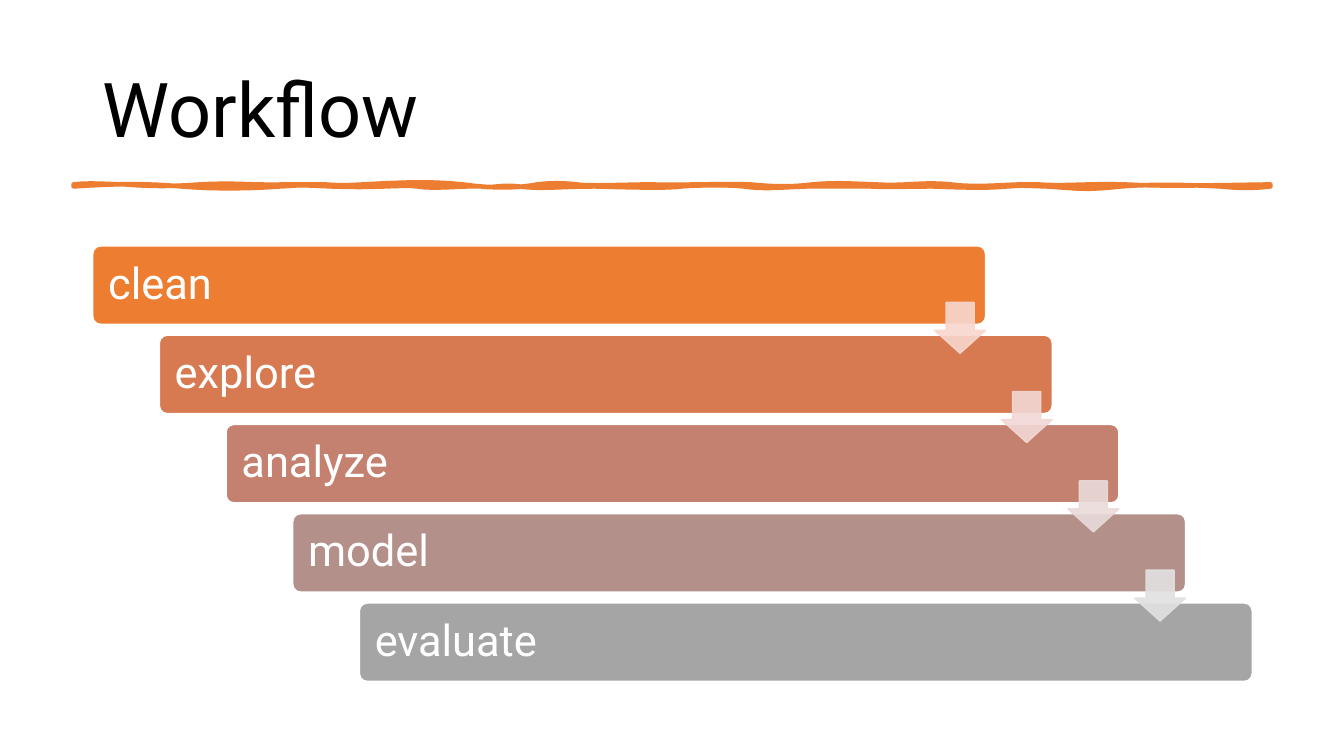
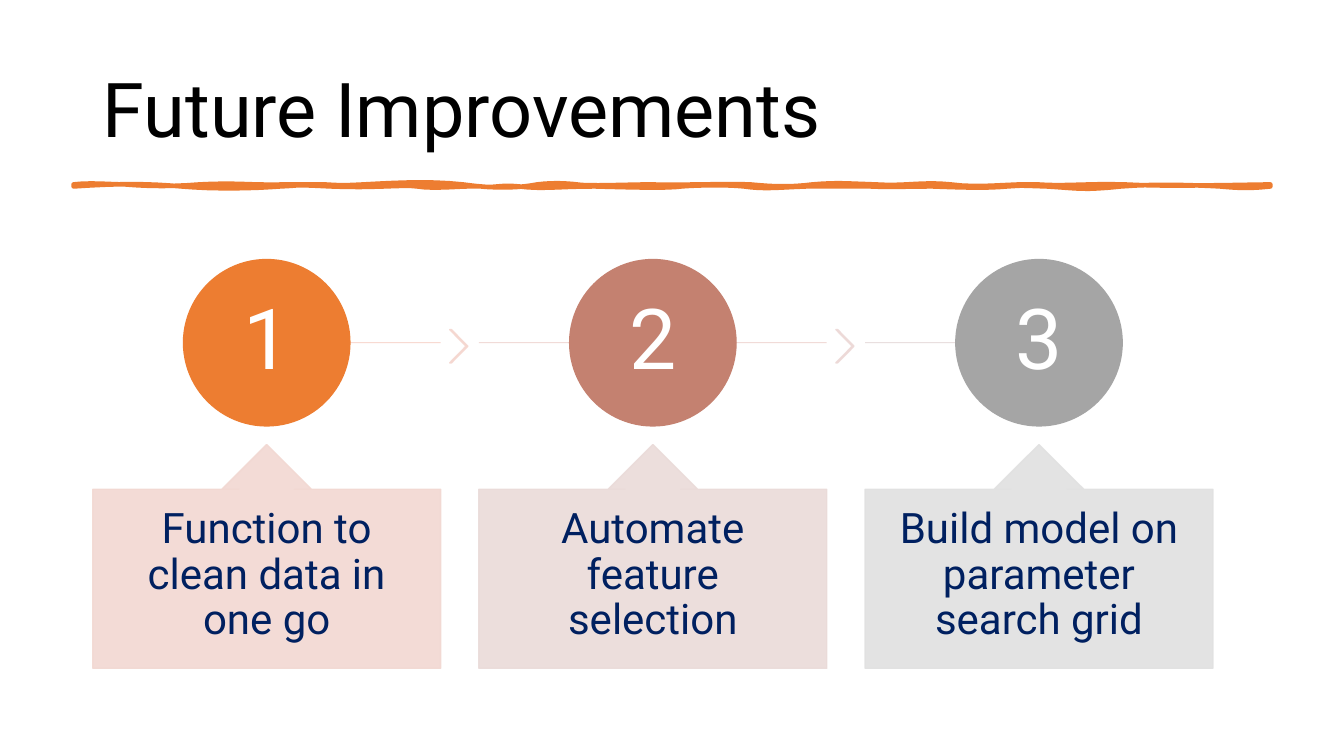
from lxml.etree import SubElement
from pptx import Presentation
from pptx.dml.color import RGBColor
from pptx.enum.shapes import MSO_CONNECTOR, MSO_SHAPE
from pptx.enum.text import MSO_ANCHOR, PP_ALIGN
from pptx.oxml.ns import qn
from pptx.util import Inches, Pt

FONT = "Roboto"
ORANGE, ROSE, GRAY = "ED7D31", "C48170", "A5A5A5"
WHITE, BLACK, NAVY = "FFFFFF", "000000", "002060"
PALE_GRAY = "E1E1E1"
LEFT, WIDTH = 0.92, 11.5
WAVE_LEFT, WAVE_TOP, WAVE_BOTTOM = 0.73, 1.83, 1.85

# control_x, control_y, control_x, control_y, end_x
TOP_EDGE = [
    (0.89, 1.81, 1.11, 1.83, 1.24), (1.36, 1.84, 1.62, 1.86, 1.98),
    (2.34, 1.81, 2.51, 1.84, 2.84), (3.17, 1.83, 3.07, 1.83, 3.22),
    (3.38, 1.84, 3.42, 1.84, 3.61), (3.8, 1.82, 4.24, 1.79, 4.59),
    (4.94, 1.88, 5.17, 1.86, 5.33), (5.49, 1.81, 5.63, 1.82, 5.72),
    (5.81, 1.85, 6.25, 1.83, 6.46), (6.67, 1.84, 7.23, 1.82, 7.44),
    (7.65, 1.85, 7.82, 1.86, 8.06), (8.3, 1.81, 8.38, 1.82, 8.68),
    (8.99, 1.85, 9.14, 1.8, 9.43), (9.72, 1.87, 10.02, 1.82, 10.29),
    (10.55, 1.85, 10.78, 1.82, 11.15), (11.51, 1.85, 11.99, 1.84, 12.6),
]
BOTTOM_EDGE = [
    (12.42, 1.87, 12.3, 1.87, 12.1), (11.9, 1.84, 11.49, 1.82, 11.12),
    (10.75, 1.89, 10.7, 1.87, 10.38), (10.05, 1.84, 10.18, 1.84, 9.99),
    (9.8, 1.87, 9.48, 1.86, 9.25), (9.02, 1.85, 8.84, 1.86, 8.63),
    (8.41, 1.85, 8.28, 1.85, 8), (7.73, 1.86, 7.57, 1.88, 7.38),
    (7.19, 1.83, 6.88, 1.84, 6.76), (6.63, 1.87, 6.24, 1.86, 5.9),
    (5.55, 1.85, 5.37, 1.88, 5.15), (4.94, 1.83, 4.91, 1.87, 4.77),
    (4.63, 1.84, 4.3, 1.88, 4.14), (3.99, 1.83, 3.71, 1.87, 3.28),
    (2.86, 1.83, 3.03, 1.84, 2.78), (2.53, 1.87, 2.13, 1.88, 1.8),
    (1.47, 1.82, 1.18, 1.82, 0.73),
]


def paint(fill, color, alpha=100):
    fill.solid()
    fill.fore_color.rgb = RGBColor.from_string(color)
    if alpha < 100:
        for rgb in fill._xPr.iter(qn("a:srgbClr")):
            SubElement(rgb, qn("a:alpha"), val=str(alpha * 1000))


def style(sp, fill, line=None, alpha=100, weight=1):
    sp.shadow.inherit = False
    paint(sp.fill, fill, alpha)
    paint(sp.line.fill, line or fill, alpha)
    sp.line.width = Pt(weight)


def add_preset(s, kind, box, fill, line=None, alpha=100, adj=()):
    sp = s.shapes.add_shape(kind, *map(Inches, box))
    for i, value in enumerate(adj):
        sp.adjustments[i] = value
    style(sp, fill, line, alpha)
    return sp


def write(sp, text, size, color, insets, align=PP_ALIGN.LEFT, anchor=MSO_ANCHOR.MIDDLE):
    tf = sp.text_frame
    tf.word_wrap = True
    tf.vertical_anchor = anchor
    tf.margin_left = tf.margin_right = Inches(insets[0])
    tf.margin_top = tf.margin_bottom = Inches(insets[1])
    p = tf.paragraphs[0]
    p.text = text
    p.alignment = align
    p.line_spacing = 0.9
    p.font.name = FONT
    p.font.size = Pt(size)
    p.font.color.rgb = RGBColor.from_string(color)


def add_line(s, x1, x2, y, color):
    line = s.shapes.add_connector(MSO_CONNECTOR.STRAIGHT, *map(Inches, (x1, y, x2, y)))
    paint(line.line.fill, color, 90)
    line.line.width = Pt(0.75)
    SubElement(line._element.spPr, qn("a:effectLst"))


def trace(start, edge, y, steps=8):
    points = [start]
    for x1, y1, x2, y2, x3 in edge:
        x0, y0 = points[-1]
        for k in range(1, steps + 1):
            t = k / steps
            u = 1 - t
            weights = (u ** 3, 3 * u * u * t, 3 * u * t * t, t ** 3)
            points.append(tuple(
                sum(w * v for w, v in zip(weights, values))
                for values in ((x0, x1, x2, x3), (y0, y1, y2, y))
            ))
    return points


def add_wave(s):
    top = trace((WAVE_LEFT, WAVE_TOP), TOP_EDGE, WAVE_TOP)
    bottom = trace((top[-1][0], WAVE_BOTTOM), BOTTOM_EDGE, WAVE_BOTTOM)
    points = [(Inches(x), Inches(y)) for x, y in top + bottom]
    builder = s.shapes.build_freeform(*points[0])
    builder.add_line_segments(points[1:], close=True)
    style(builder.convert_to_shape(), ORANGE, weight=3.25)


def add_slide(prs, title):
    s = prs.slides.add_slide(prs.slide_layouts[6])
    box = s.shapes.add_textbox(*map(Inches, (LEFT, 0.4, WIDTH, 1.45)))
    write(box, title, 54, BLACK, (0.1, 0.05))
    add_wave(s)
    return s


def add_staircase(s, steps, arrows):
    top, height = 2.44, 4.32
    bar_w, bar_h = 0.77 * WIDTH, 0.18 * height
    dx = (WIDTH - bar_w) / (len(steps) - 1)
    dy = (height - bar_h) / (len(steps) - 1)
    size = 0.65 * bar_h
    for i, (text, color) in enumerate(steps):
        box = (LEFT + i * dx, top + i * dy, bar_w, bar_h)
        bar = add_preset(s, MSO_SHAPE.ROUNDED_RECTANGLE, box, color, WHITE, adj=(0.1,))
        write(bar, text, 31, WHITE, (0.13, 0.05))
    for i, color in enumerate(arrows):
        box = (LEFT + i * dx + bar_w - size, top + i * dy + 0.72 * bar_h, size, size)
        add_preset(s, MSO_SHAPE.DOWN_ARROW, box, color, alpha=90, adj=(0.55, 0.45))


def add_numbered_columns(s, columns, chevrons):
    col_w, pitch, diameter, line_y = 3.45, 3.83, 1.65, 3.4
    last = len(columns) - 1
    for i, (text, color, pale, line_color) in enumerate(columns):
        x = LEFT + i * pitch
        center = x + col_w / 2
        add_line(s, x if i else center, x + col_w if i < last else center, line_y, line_color)
        if i < last:
            box = (x + col_w + 0.09, 3.27, 0.18, 0.33)
            add_preset(s, MSO_SHAPE.CHEVRON, box, chevrons[i], alpha=90, adj=(0.9,))
        box = (center - diameter / 2, line_y - diameter / 2, diameter, diameter)
        circle = add_preset(s, MSO_SHAPE.OVAL, box, color)
        write(circle, str(i + 1), 60, WHITE, (0.05, 0.05), PP_ALIGN.CENTER)
        callout = add_preset(s, MSO_SHAPE.UP_ARROW_CALLOUT, (x, 4.41, col_w, 2.22), pale,
                             alpha=90, adj=(0.25, 0.2, 0.2, 0.8))
        write(callout, text, 30, NAVY, (0.27, 0.18), PP_ALIGN.CENTER, MSO_ANCHOR.TOP)


def main():
    prs = Presentation()
    prs.slide_width, prs.slide_height = Inches(13.33), Inches(7.5)

    add_staircase(
        add_slide(prs, "Workflow"),
        [("clean", ORANGE), ("explore", "D87A51"), ("analyze", ROSE),
         ("model", "B4908B"), ("evaluate", GRAY)],
        ["F8D7CE", "F1D8D4", "E9DBDA", PALE_GRAY],
    )
    add_numbered_columns(
        add_slide(prs, "Future Improvements"),
        [("Function to clean data in one go", ORANGE, "F2D8D2", "F8D7CE"),
         ("Automate feature selection", ROSE, "EADBD9", "F0D8D4"),
         ("Build model on parameter search grid", GRAY, PALE_GRAY, "E7DCDC")],
        ["F5D7D0", "EDD9D7"],
    )
    prs.save("out.pptx")


if __name__ == "__main__":
    main()
